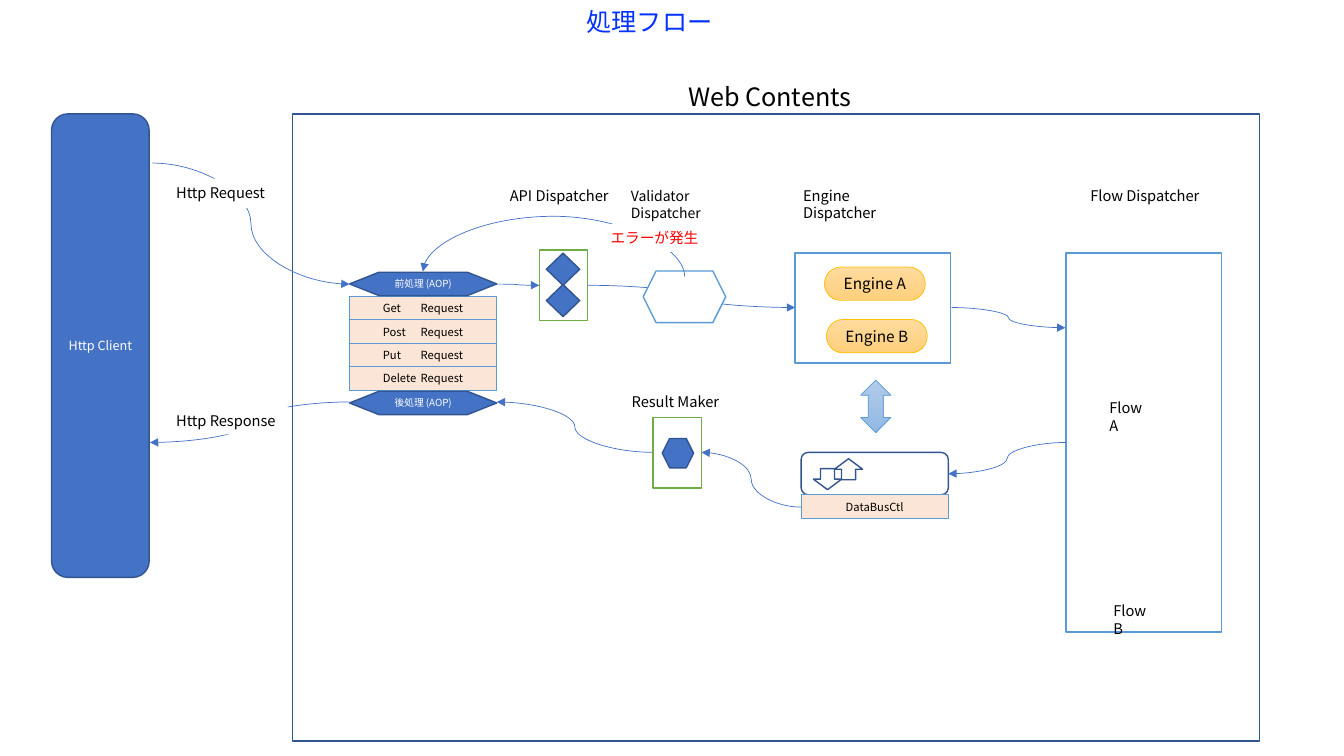
from lxml.etree import SubElement as Sub
from pptx import Presentation
from pptx.dml.color import RGBColor as RGB
from pptx.enum.shapes import MSO_CONNECTOR as Link, MSO_SHAPE as Kind
from pptx.enum.text import MSO_ANCHOR as Anchor, PP_ALIGN as Align
from pptx.oxml.ns import qn
from pptx.util import Cm, Pt

FONT = "Noto Sans CJK JP"
BLUE, NAVY, SKY, GREEN = "4472C4", "325491", "5B9BD5", "70AD47"
PEACH, WHITE, BLACK, RED = "FBE5D6", "FFFFFF", "000000", "FF0000"
ROW = 0.59


def color(code):
    return RGB.from_string(code)


def write(shape, text, size=10.5, ink=BLACK, align=Align.LEFT,
          anchor=Anchor.TOP, wrap=False, pads=(0.25, 0.13, 0.25, 0.13), tab=None):
    frame = shape.text_frame
    frame.word_wrap = wrap
    frame.vertical_anchor = anchor
    frame.margin_left, frame.margin_top, frame.margin_right, frame.margin_bottom = map(Cm, pads)
    para = frame.paragraphs[0]
    para.alignment = align
    if tab:
        stops = Sub(para._p.get_or_add_pPr(), qn("a:tabLst"))
        Sub(stops, qn("a:tab"), pos=str(Cm(tab)), algn="l")
    run = para.add_run()
    run.text = text
    run.font.size = Pt(size)
    run.font.name = FONT
    run.font.color.rgb = color(ink)
    Sub(run._r.get_or_add_rPr(), qn("a:ea"), typeface=FONT)


def draw(slide, kind, box, fill=None, line=None, width=1):
    shape = slide.shapes.add_shape(kind, *map(Cm, box))
    shape.shadow.inherit = False
    if isinstance(fill, tuple):
        shape.fill.gradient()
        shape.fill.gradient_angle = 270
        for stop, code in zip(shape.fill.gradient_stops, fill):
            stop.color.rgb = color(code)
    elif fill:
        shape.fill.solid()
        shape.fill.fore_color.rgb = color(fill)
    else:
        shape.fill.background()
    if line:
        shape.line.color.rgb = color(line)
        shape.line.width = Pt(width)
    else:
        shape.line.fill.background()
    return shape


def label(slide, box, text, fill=None, **style):
    shape = slide.shapes.add_textbox(*map(Cm, box))
    if fill:
        shape.fill.solid()
        shape.fill.fore_color.rgb = color(fill)
    write(shape, text, **style)


def badge(slide, kind, box, text, size, fill, line, ink=BLACK, width=1):
    shape = draw(slide, kind, box, fill, line, width)
    write(shape, text, size=size, ink=ink, align=Align.CENTER,
          anchor=Anchor.MIDDLE, pads=(0, 0, 0, 0))


def curve(slide, start, end, turn=0, bend=None):
    link = slide.shapes.add_connector(Link.CURVE, *map(Cm, start + end))
    link.line.color.rgb = color(BLUE)
    link.line.width = Pt(0.5)
    Sub(link.line._get_or_add_ln(), qn("a:tailEnd"), type="triangle")
    props = link._element.spPr
    Sub(props, qn("a:effectLst"))
    if turn:
        props.find(qn("a:xfrm")).set("rot", str(turn * 60000))
    if bend:
        guides = props.find(qn("a:prstGeom")).find(qn("a:avLst"))
        Sub(guides, qn("a:gd"), name="adj1", fmla=f"val {round(bend * 100000)}")


def client(slide):
    badge(slide, Kind.ROUNDED_RECTANGLE, (1.3, 2.87, 2.46, 11.68),
          "Http Client", 9, BLUE, NAVY, WHITE)
    draw(slide, Kind.RECTANGLE, (7.37, 2.87, 24.38, 15.8), line=NAVY)
    label(slide, (17.09, 1.93, 4.7, 1.02), "Web Contents", size=18)


def methods(slide):
    for i, verb in enumerate(("Get", "Post", "Put", "Delete")):
        shape = draw(slide, Kind.RECTANGLE, (8.81, 7.47 + i * ROW, 3.71, ROW), PEACH, SKY, 0.75)
        write(shape, f"{verb}\tRequest", size=8, anchor=Anchor.MIDDLE, wrap=True,
              pads=(0.84, 0, 0, 0), tab=0.95)
    for top, text in ((6.86, "前処理 (AOP)"), (9.86, "後処理 (AOP)")):
        badge(slide, Kind.FLOWCHART_PREPARATION, (8.81, top, 3.71, ROW), text, 7, BLUE, NAVY, WHITE)


def request(slide):
    for top in (6.38, 7.17):
        draw(slide, Kind.FLOWCHART_DECISION, (13.77, top, 0.84, 0.81), BLUE, NAVY)
    draw(slide, Kind.RECTANGLE, (13.59, 6.3, 1.22, 1.78), line=GREEN)
    curve(slide, (3.84, 4.11), (8.81, 7.16))
    label(slide, (4.19, 4.5, 2.92, 0.74), "Http Request", fill=WHITE)
    curve(slide, (14.81, 7.19), (20.04, 7.75))
    curve(slide, (23.98, 7.75), (26.85, 8.26))
    curve(slide, (12.52, 7.16), (13.59, 7.19))
    for left, text in ((12.6, "API Dispatcher"), (19.99, "Engine Dispatcher"),
                       (27.23, "Flow Dispatcher")):
        label(slide, (left, 4.57, 3.5, 0.71), text)


def engines(slide):
    draw(slide, Kind.UP_DOWN_ARROW, (21.69, 9.58, 0.76, 1.32), ("B1CBE9", "93B9E4"), SKY, 0.5)
    for left, top, text in ((20.78, 6.73, "Engine A"), (20.83, 8.05, "Engine B")):
        badge(slide, Kind.FLOWCHART_TERMINATOR, (left, top, 2.54, 0.84), text, 11,
              ("FFDB9E", "FFD07C"), "FFC000", width=0.5)
    draw(slide, Kind.RECTANGLE, (20.04, 6.38, 3.91, 2.77), line=SKY)


def flows(slide):
    draw(slide, Kind.RECTANGLE, (26.87, 6.38, 3.91, 9.55), line=SKY)
    for left, top, text in ((27.71, 9.93, "Flow　A"), (27.81, 15.04, "Flow　B")):
        label(slide, (left, top, 1.96, 0.71), text, wrap=True, pads=(0.25, 0.13, 0.45, 0.13))


def bus(slide):
    draw(slide, Kind.UP_ARROW, (21.03, 11.56, 0.71, 0.53), line=NAVY)
    draw(slide, Kind.DOWN_ARROW, (20.5, 11.81, 0.71, 0.53), line=NAVY)
    draw(slide, Kind.ROUNDED_RECTANGLE, (20.19, 11.4, 3.71, 1.07), line=NAVY)
    badge(slide, Kind.RECTANGLE, (20.19, 12.47, 3.71, ROW), "DataBusCtl", 8, PEACH, SKY, width=0.75)


def result(slide):
    curve(slide, (26.87, 11.15), (23.9, 11.94))
    curve(slide, (16.46, 11.4), (12.52, 10.13))
    label(slide, (15.67, 9.78, 2.82, 0.71), "Result Maker")
    draw(slide, Kind.RECTANGLE, (16.46, 10.52, 1.22, 1.78), line=GREEN)
    draw(slide, Kind.HEXAGON, (16.69, 11.05, 0.79, 0.74), BLUE, NAVY)
    curve(slide, (20.19, 12.78), (17.68, 11.4))
    curve(slide, (8.81, 10.13), (3.78, 11.15))
    label(slide, (4.19, 10.24, 3.07, 0.71), "Http Response", fill=WHITE)


def check(slide):
    draw(slide, Kind.HEXAGON, (16.21, 6.83, 2.08, 1.3), WHITE, SKY)
    label(slide, (15.65, 4.6, 3.7, 0.71), "Validator Dispatcher", size=10)
    curve(slide, (13.89, 10.21), (14.02, 3.61), turn=270, bend=11.72)
    label(slide, (15.14, 5.64, 2.77, 0.71), "エラーが発生", fill=WHITE, ink=RED)


def main():
    deck = Presentation()
    deck.slide_width, deck.slide_height = Cm(33.87), Cm(19.05)
    slide = deck.slides.add_slide(deck.slide_layouts[6])
    for part in (client, methods, request, engines, flows, bus, result, check):
        part(slide)
    label(slide, (14.53, 0.03, 3.71, 1.02), "処理フロー", size=18, ink="0432FF")
    deck.save("out.pptx")


if __name__ == "__main__":
    main()
